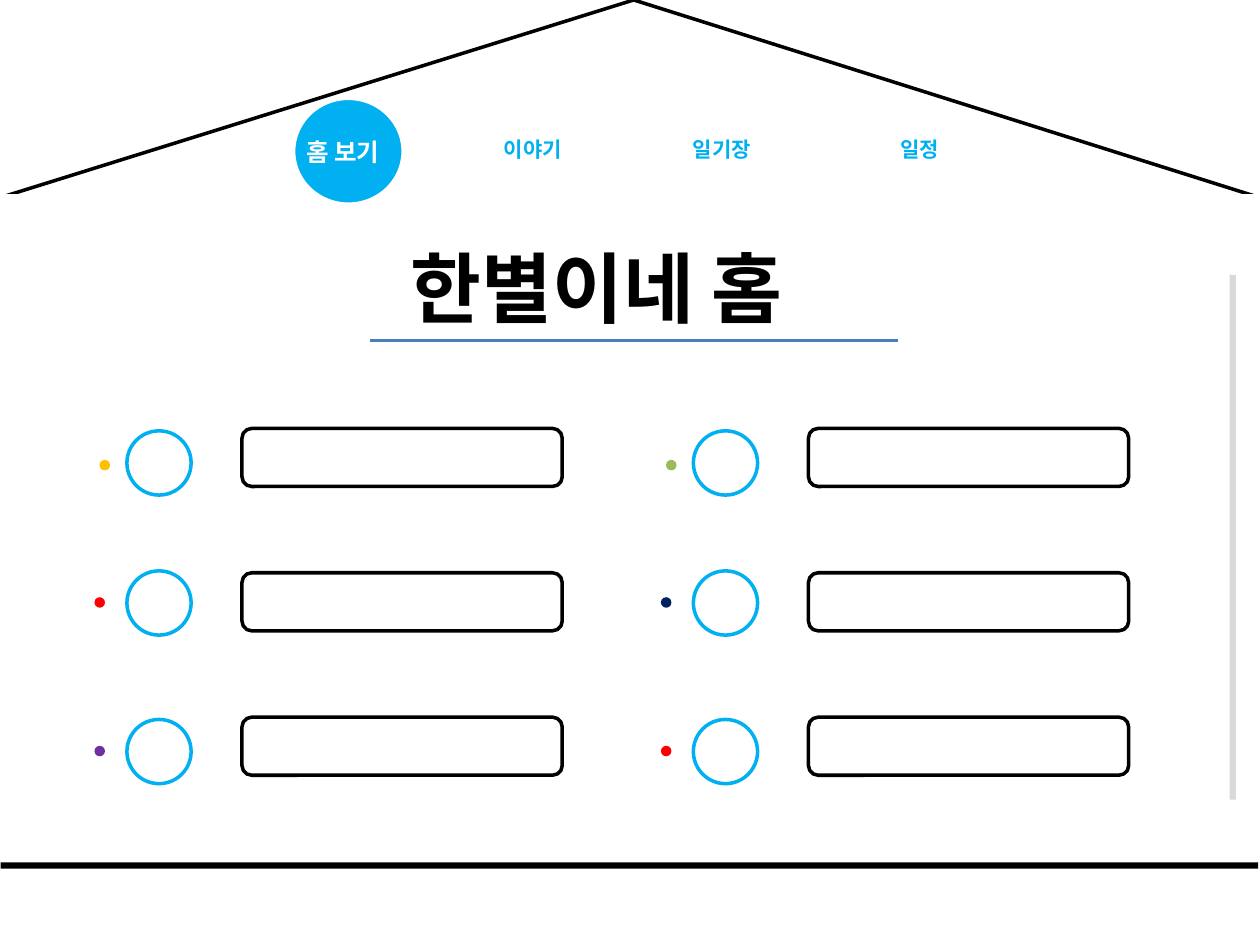
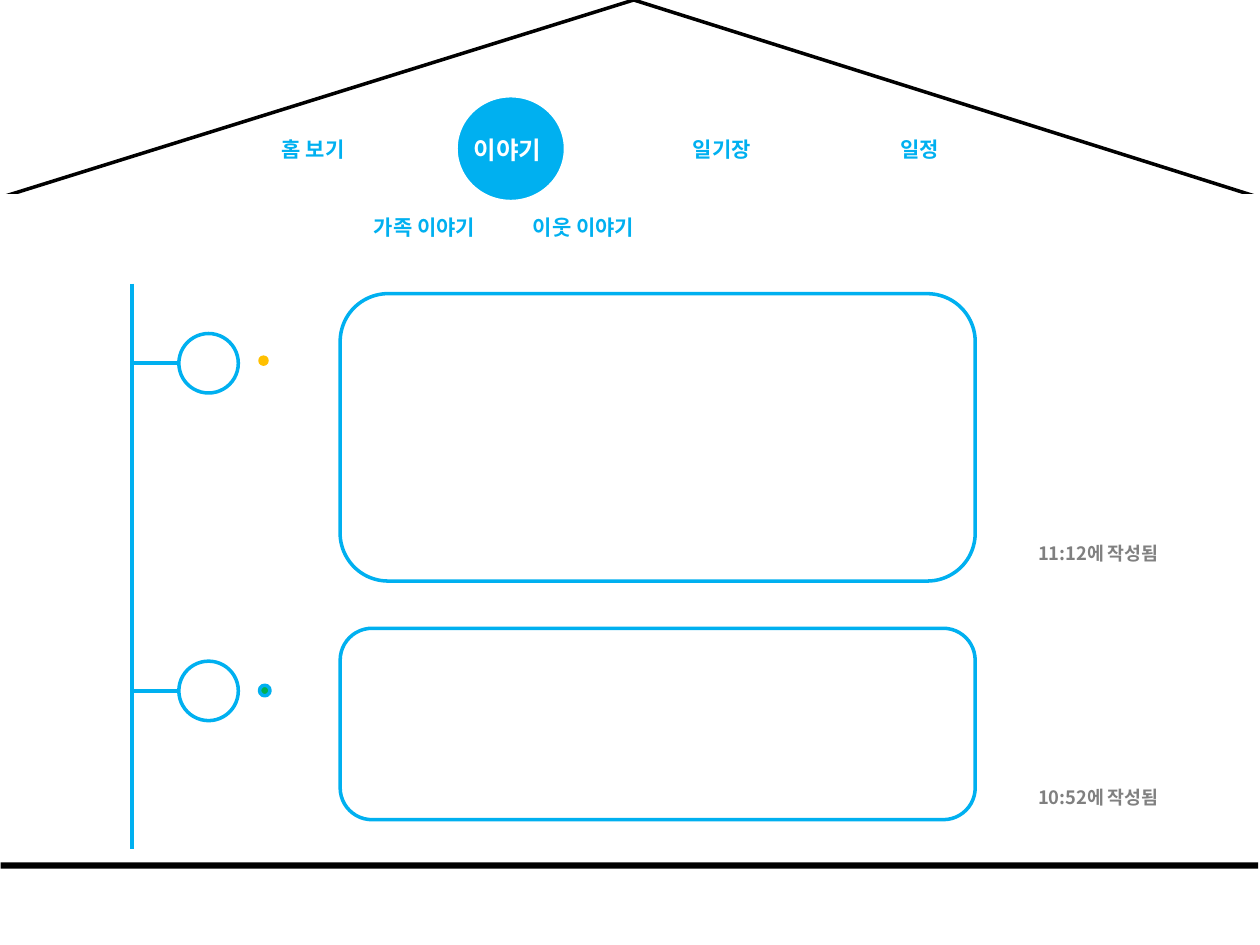
import pptx
import pptx.util
import pptx.dml.color
import pptx.enum.shapes
import pptx.enum.text
import pptx.oxml.ns
from lxml import etree

Pt = pptx.util.Pt
KIND = pptx.enum.shapes.MSO_SHAPE
FIT = pptx.enum.text.MSO_AUTO_SIZE
FONT = "Noto Sans CJK KR"
HUES = {
    "black": "000000", "white": "FFFFFF", "sky": "00B0F0", "rule": "4B7EBC",
    "pale": "D9D9D9", "gray": "808080", "gold": "FFC000", "red": "FF0000",
    "plum": "7030A0", "moss": "9BBB59", "navy": "002060", "green": "00B050",
}
PAGE = (0, 0, 720, 540)
MENU = (154, 54, 400, 64)
TABS = [("홈 보기", 0, 55.4), ("이야기", 126.8, 51), ("일기장", 234.8, 51), ("일정", 353.6, 39)]


def hue(name):
    """Return the named colour."""
    return pptx.dml.color.RGBColor.from_string(HUES[name])


def shape(slide, kind, box, fill=None, line=None):
    """Add a flat preset shape with an optional fill and 2 pt outline."""
    item = slide.shapes.add_shape(kind, *map(Pt, box))
    item.shadow.inherit = False
    if fill:
        item.fill.solid()
        item.fill.fore_color.rgb = hue(fill)
    else:
        item.fill.background()
    if line:
        item.line.color.rgb = hue(line)
        item.line.width = Pt(2)
    else:
        item.line.fill.background()
    return item


def link(slide, start, end, color, width):
    """Draw a flat straight line between two points."""
    item = slide.shapes.add_connector(
        pptx.enum.shapes.MSO_CONNECTOR.STRAIGHT, *map(Pt, start + end))
    item.line.color.rgb = hue(color)
    item.line.width = Pt(width)
    etree.SubElement(item._element.spPr, pptx.oxml.ns.qn("a:effectLst"))


def write(frame, text, size, color, wrap=False):
    """Fill a text frame with one bold, left-aligned paragraph."""
    frame.word_wrap = wrap
    frame.auto_size = FIT.SHAPE_TO_FIT_TEXT
    frame.vertical_anchor = pptx.enum.text.MSO_ANCHOR.TOP
    para = frame.paragraphs[0]
    para.text = text
    para.alignment = pptx.enum.text.PP_ALIGN.LEFT
    font = para.font
    font.size, font.bold, font.name = Pt(size), True, FONT
    font.color.rgb = hue(color)
    props = para._p.get_or_add_pPr().find(pptx.oxml.ns.qn("a:defRPr"))
    etree.SubElement(props, pptx.oxml.ns.qn("a:ea"), typeface=FONT)


def label(slide, box, text, size=12, color="sky"):
    """Add a single-line text box."""
    write(slide.shapes.add_textbox(*map(Pt, box)).text_frame, text, size, color)


def house(slide, box):
    """Draw the roof and the ground line."""
    x, y, w, h = box
    roof = shape(slide, KIND.ISOSCELES_TRIANGLE, (x, y, w, 113), line="black")
    roof.adjustments[0] = 0.503
    shape(slide, KIND.RECTANGLE, (x, y + 111.6, w, 3.6), "white", "white")
    shape(slide, KIND.RECTANGLE, (x + 0.4, y + h - 47.2, w - 1.4, 3.6), "black")


def menu(slide, box, active, disc, text):
    """Place the tabs, with the active one on a disc."""
    x, y = box[:2]
    for name, dx, width in TABS:
        if name != active:
            label(slide, (x + dx, y + 20.2, width, 21.6), name)
    left, top = x + disc[0], y + disc[1]
    shape(slide, KIND.OVAL, (left, top, 62.6, 60.5), "sky", "white")
    label(slide, (left + text[0], top + 18.7, text[1], 24.5), active, 14, "white")


def head(slide, box):
    """Place the title and the rule below it."""
    x, y, w, h = box
    title = slide.shapes.title
    title.left, title.top, title.width, title.height = map(Pt, box)
    write(title.text_frame, "한별이네 홈", 44, "black", True)
    link(slide, (x - 15.8, y + h), (x + w + 20.9, y + h), "rule", 1.5)


def roster(slide, box, dots):
    """Place one column of members: dot, portrait ring and name bar."""
    x, y = box[:2]
    for row, (color, top) in enumerate(zip(dots, (1.4, 81.4, 166.3))):
        indent, drop = (2.9, 16.6) if row == 0 else (0, 15.1)
        shape(slide, KIND.OVAL, (x + indent, y + top + drop, 6, 6), color)
        shape(slide, KIND.OVAL, (x + 18.5, y + top, 36.7, 36.7), "white", "sky")
        bar = (x + 84.3, y + row * 82.5, 183, 33.2)
        shape(slide, KIND.ROUNDED_RECTANGLE, bar, line="black")


def post(slide, box, ring, dot, time, drop):
    """Place one timeline entry: branch, ring, dot, card and time."""
    x, y, w, h = box
    mid = y + ring + 17
    shape(slide, KIND.OVAL, (x + 26.6, y + ring, 34, 34), "white", "sky")
    link(slide, (x, mid), (x + 26.6, mid), "sky", 2.25)
    card = (x + 118.8, y, w - 118.8, h)
    shape(slide, KIND.ROUNDED_RECTANGLE, card, "white", "sky")
    shape(slide, KIND.OVAL, (x + dot[0], y + dot[1], 6, 6), *dot[2:])
    label(slide, (x + w + 28.8, y + drop, 91, 20.5), time, 10.5, "gray")


def home(slide):
    """Build the home slide."""
    house(slide, PAGE)
    menu(slide, MENU, "홈 보기", (13.8, 2.2), (0, 62))
    head(slide, (227.5, 133.9, 265, 60.5))
    roster(slide, (54, 244.8, 267, 198), ("gold", "red", "plum"))
    roster(slide, (377.7, 244.8, 267, 198), ("moss", "navy", "red"))
    shape(slide, KIND.RECTANGLE, (702.7, 157, 3.6, 300), "pale")


def story(slide):
    """Build the story slide."""
    house(slide, PAGE)
    menu(slide, MENU, "이야기", (106.6, 0.7), (2.9, 57))
    for left, name in ((206.6, "가족 이야기"), (297.4, "이웃 이야기")):
        label(slide, (left, 118.8, 79.2, 21.6), name)
    link(slide, (75.6, 162), (75.6, 485.3), "sky", 2.25)
    post(slide, (75.6, 167.8, 481.7, 164.2), 22.8, (72, 35.3, "gold"),
         "11:12에 작성됨", 138.2)
    post(slide, (75.6, 359, 481.7, 109.4), 18.8, (72.7, 32.6, "green", "sky"),
         "10:52에 작성됨", 86.7)


def main():
    """Build and save the deck."""
    deck = pptx.Presentation()
    deck.slide_width, deck.slide_height = map(Pt, PAGE[2:])
    home(deck.slides.add_slide(deck.slide_layouts[5]))
    story(deck.slides.add_slide(deck.slide_layouts[6]))
    deck.save("out.pptx")


if __name__ == "__main__":
    main()
